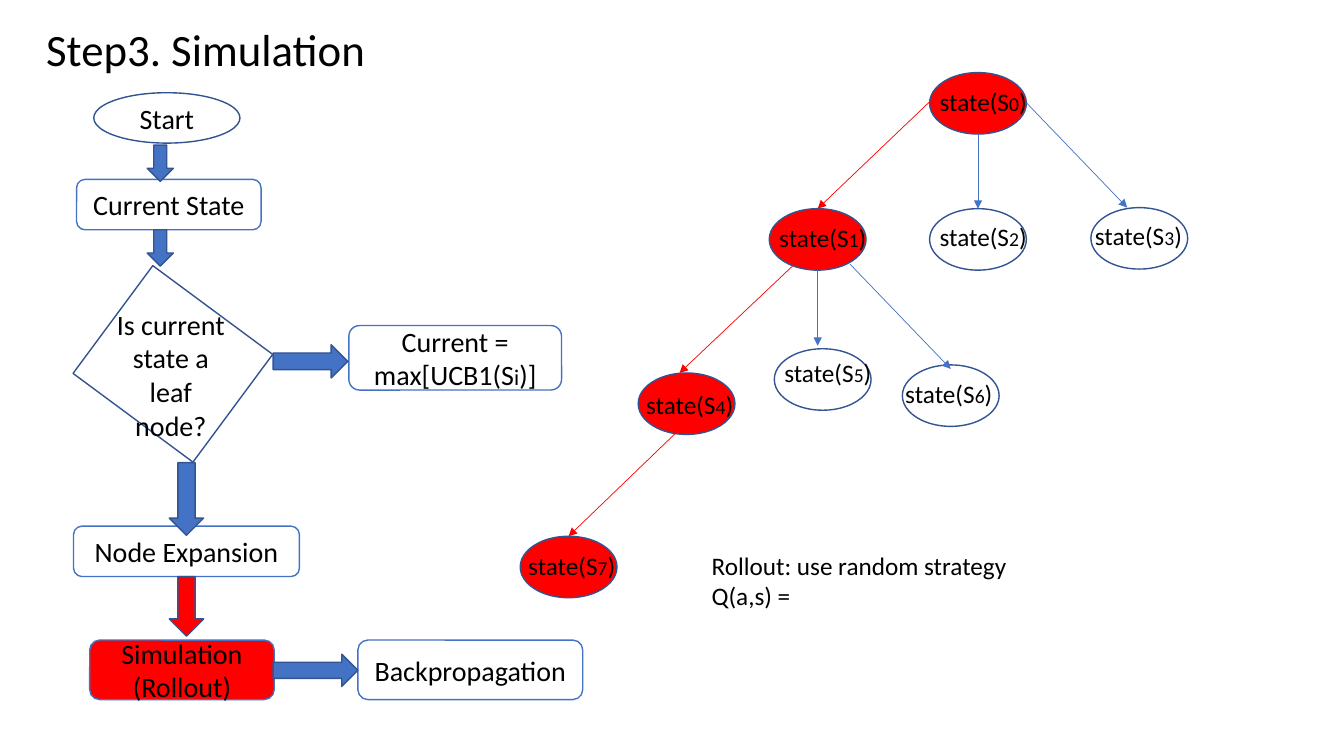
import pptx
import pptx.dml.color
import pptx.enum.shapes
import pptx.enum.text
import pptx.oxml
import pptx.oxml.ns
import pptx.util
from lxml import etree

PX = 9144  # EMU per px, 100 px to the inch
RGB = pptx.dml.color.RGBColor
BLACK = RGB(0x00, 0x00, 0x00)
WHITE = RGB(0xFF, 0xFF, 0xFF)
RED = RGB(0xFF, 0x00, 0x00)
BLUE = RGB(0x44, 0x72, 0xC4)
NAVY = RGB(0x32, 0x54, 0x91)
FONT = "Calibri"
SHAPE = pptx.enum.shapes.MSO_SHAPE
CENTER = pptx.enum.text.PP_ALIGN.CENTER
NODE_W, NODE_H = 96, 61

# left, top of the ellipse; left, top of its label; fill
STATES = [
    (922, 72, 922, 81, RED),
    (763, 207, 763, 216, RED),
    (922, 207, 922, 215, WHITE),
    (1082, 206, 1076, 214, WHITE),
    (633, 370, 631, 381, RED),
    (768, 346, 768, 350, WHITE),
    (895, 362, 888, 370, WHITE),
    (516, 532, 514, 541, RED),
]

# start x, y; end x, y; colour
BRANCHES = [
    (922, 101, 811, 207, RED),
    (970, 133, 970, 207, BLUE),
    (1018, 102, 1118, 206, BLUE),
    (786, 264, 674, 370, RED),
    (843, 262, 943, 366, BLUE),
    (811, 268, 811, 343, BLUE),
    (675, 425, 564, 532, RED),
]

# kind, box, fill, outline, lines of text
STEPS = [
    (SHAPE.OVAL, (93, 92, 145, 50), WHITE, NAVY, ["Start"]),
    (SHAPE.ROUNDED_RECTANGLE, (76, 178, 183, 50), WHITE, BLUE, ["Current State"]),
    (SHAPE.ROUNDED_RECTANGLE, (346, 323, 211, 64), WHITE, BLUE,
     [[("Current = max[UCB1(S", 20), ("i", 16), (")]", 20)]]),
    (SHAPE.ROUNDED_RECTANGLE, (73, 522, 224, 50), None, BLUE, ["Node Expansion"]),
    (SHAPE.ROUNDED_RECTANGLE, (89, 635, 183, 59), RED, BLUE, ["Simulation", "(Rollout)"]),
    (SHAPE.ROUNDED_RECTANGLE, (355, 635, 223, 59), WHITE, BLUE, ["Backpropagation"]),
]

BLOCK_ARROWS = [
    (SHAPE.DOWN_ARROW, (146, 144, 26, 36), BLUE),
    (SHAPE.DOWN_ARROW, (146, 228, 26, 36), BLUE),
    (SHAPE.DOWN_ARROW, (168, 459, 34, 72), BLUE),
    (SHAPE.DOWN_ARROW, (168, 572, 34, 59), RED),
    (SHAPE.RIGHT_ARROW, (271, 342, 74, 33), BLUE),
    (SHAPE.RIGHT_ARROW, (271, 649, 84, 32), BLUE),
]


def emu(lengths):
    return [pptx.util.Emu(n * PX) for n in lengths]


def write(tf, lines, size, align=None):
    """Fill a frame; a line is a string or a list of (text, size) runs."""
    tf.word_wrap = True
    for i, line in enumerate(lines):
        p = tf.add_paragraph() if i else tf.paragraphs[0]
        p.alignment = align
        p.font.name = FONT
        p.font.color.rgb = BLACK
        if isinstance(line, str):
            p.font.size = pptx.util.Pt(size)
            p.add_run().text = line
            continue
        for text, run_size in line:
            r = p.add_run()
            r.text = text
            r.font.size = pptx.util.Pt(run_size)


def add_text(s, box, lines, size, align=None):
    tf = s.shapes.add_textbox(*emu(box)).text_frame
    write(tf, lines, size, align)
    tf.auto_size = pptx.enum.text.MSO_AUTO_SIZE.SHAPE_TO_FIT_TEXT


def add_shape(s, kind, box, fill, outline=NAVY, lines=()):
    sp = s.shapes.add_shape(kind, *emu(box))
    sp.shadow.inherit = False
    if fill is None:
        sp.fill.background()
    else:
        sp.fill.solid()
        sp.fill.fore_color.rgb = fill
    sp.line.color.rgb = outline
    sp.line.width = pptx.util.Pt(1)
    sp.text_frame.vertical_anchor = pptx.enum.text.MSO_ANCHOR.MIDDLE
    write(sp.text_frame, lines, 20, CENTER)
    return sp


def add_branch(s, x1, y1, x2, y2, color):
    straight = pptx.enum.shapes.MSO_CONNECTOR.STRAIGHT
    line = s.shapes.add_connector(straight, *emu((x1, y1, x2, y2)))
    line.line.color.rgb = color
    line.line.width = pptx.util.Pt(0.5)
    qn = pptx.oxml.ns.qn
    etree.SubElement(line.line._get_or_add_ln(), qn("a:tailEnd"), type="triangle")
    etree.SubElement(line._element.spPr, qn("a:effectLst"))


def add_flowchart(s):
    for step in STEPS:
        add_shape(s, *step)
    decision = add_shape(s, SHAPE.RECTANGLE, (105, 287, 133, 148), WHITE)
    decision.rotation = 306.5
    add_text(s, (103, 300, 133, 111),
             ["Is current", "state a", "leaf node?"], 20, CENTER)
    for arrow in BLOCK_ARROWS:
        add_shape(s, *arrow)


def add_tree(s):
    for i, (x, y, label_x, label_y, fill) in enumerate(STATES):
        add_shape(s, SHAPE.OVAL, (x, y, NODE_W, NODE_H), fill)
        label = [("state(S", 18), (str(i), 14), (")", 18)]
        add_text(s, (label_x, label_y, 125, 40), [label], 18)
    for branch in BRANCHES:
        add_branch(s, *branch)


def main():
    prs = pptx.Presentation()
    prs.slide_width, prs.slide_height = emu((1333, 750))
    s = prs.slides.add_slide(prs.slide_layouts[6])
    add_text(s, (36, 17, 447, 64), ["Step3. Simulation"], 32)
    add_flowchart(s)
    add_tree(s)
    add_text(s, (696, 541, 351, 71),
             ["Rollout: use random strategy", "Q(a,s) ="], 18)
    prs.save("out.pptx")


if __name__ == "__main__":
    main()
